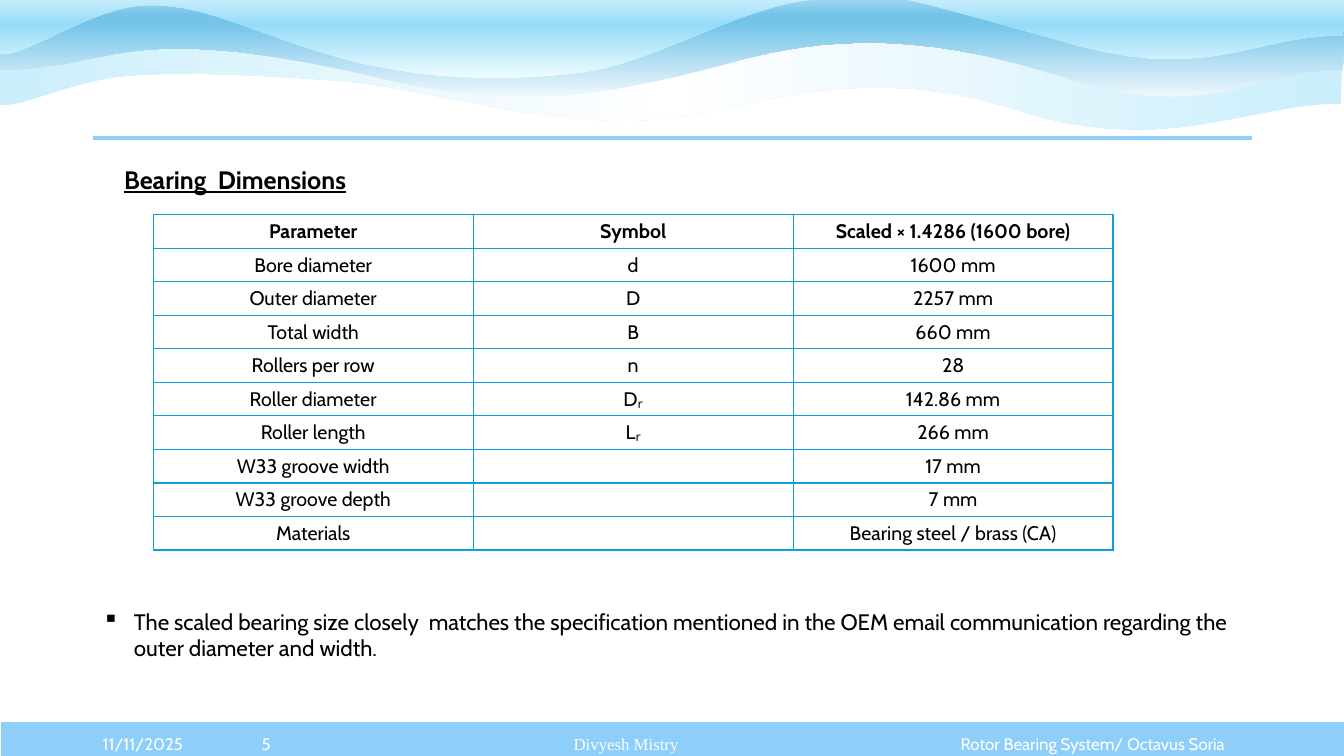
from lxml import etree
from pptx import Presentation
from pptx.dml.color import RGBColor
from pptx.enum import shapes, text
from pptx.oxml import ns
from pptx.util import Inches, Pt

BLACK = RGBColor(0x00, 0x00, 0x00)
WHITE = RGBColor(0xFF, 0xFF, 0xFF)
SKY = RGBColor(0x8E, 0xCE, 0xFA)
BLUE = RGBColor(0x0F, 0x9E, 0xD5)
ICE = RGBColor(0xCA, 0xEE, 0xFB)
MIST = RGBColor(0xF0, 0xF8, 0xFD)
LAKE = RGBColor(0x74, 0xC4, 0xE9)
POOL = RGBColor(0xA2, 0xD8, 0xF0)
FOAM = RGBColor(0xEF, 0xFC, 0xFF)
AQUA = RGBColor(0x96, 0xDC, 0xF8)

LEFT, MID = text.PP_ALIGN.LEFT, text.PP_ALIGN.CENTER
TOP, CENTER = text.MSO_ANCHOR.TOP, text.MSO_ANCHOR.MIDDLE

# Each wave: start, Bezier curves (two handles and an end), corners, stops, angle.
WAVES = [
    ((13.3, 1.03),
     [(12.37, 1.02, 11.52, 1.59, 9.99, 1.06), (8.27, 0.54, 7.21, 1.24, 6.1, 1.2),
      (4.99, 1.16, 4.21, 0.87, 3.35, 0.8), (2.49, 0.74, 1.83, 0.71, 1.27, 0.75),
      (0.71, 0.79, 0.14, 1.11, -0.02, 1.03)],
     [(-0.04, 0.3), (13.32, 0.34)],
     [(0, ICE), (50, WHITE), (100, ICE)], 0),
    ((13.32, 0.69),
     [(12.39, 0.69, 11.96, 1.27, 10.44, 0.73), (8.71, 0.19, 7.73, 0.49, 7.06, 0.67),
      (5.28, 1.14, 4.59, 0.97, 3.46, 0.7), (1.13, 0.21, 1.15, 0.69, 0, 0.69)],
     [(0.01, -0.01), (6.54, -0.02), (13.33, 0.03)],
     [(0, MIST), (74, LAKE), (83, LAKE), (100, POOL)], 270),
    ((13.32, 0.35),
     [(12.39, 0.35, 11.96, 0.86, 10.44, 0.38), (8.72, -0.09, 8.91, -0.07, 8.13, -0.01),
      (7.35, 0.04, 6.53, 0.62, 5.76, 0.72), (4.98, 0.82, 4.24, 0.79, 3.47, 0.6),
      (2.58, 0.36, 2.07, 0.05, 1.5, 0.05), (0.92, 0.04, 0.22, 0.61, -0.03, 0.53)],
     [(0.01, -0.27), (6.54, -0.28), (13.33, -0.24)],
     [(0, FOAM), (50, AQUA), (100, WHITE)], 270),
]

ROWS = [
    ("Parameter", "Symbol", "Scaled × 1.4286 (1600 bore)"),
    ("Bore diameter", "d", "1600 mm"),
    ("Outer diameter", "D", "2257 mm"),
    ("Total width", "B", "660 mm"),
    ("Rollers per row", "n", "28"),
    ("Roller diameter", "Dᵣ", "142.86 mm"),
    ("Roller length", "Lᵣ", "266 mm"),
    ("W33 groove width", "", "17 mm"),
    ("W33 groove depth", "", "7 mm"),
    ("Materials", "", "Bearing steel / brass (CA)"),
]


def add(parent, tag, **attrs):
    return etree.SubElement(parent, ns.qn(tag), {k: str(v) for k, v in attrs.items()})


def curve(start, bend, steps=16):
    """Points along one cubic Bezier curve, after its start."""
    x1, y1, x2, y2, x3, y3 = bend
    for i in range(1, steps + 1):
        t = i / steps
        parts = ((1 - t) ** 3, 3 * t * (1 - t) ** 2, 3 * t * t * (1 - t), t ** 3)
        yield tuple(sum(w * v for w, v in zip(parts, axis))
                    for axis in ((start[0], x1, x2, x3), (start[1], y1, y2, y3)))


class Page:
    """The current slide and its text style."""

    base = dict(name="Cabin", size=Pt(12), bold=False)

    def __init__(self, slide):
        self.slide = slide
        self.shapes = slide.shapes

    def say(self, para, words, color, **look):
        run = para.add_run()
        run.text = words
        run.font.color.rgb = color
        for key, value in {**self.base, **look}.items():
            setattr(run.font, key, value)

    def fit(self, shape, box, anchor):
        for key, value in zip(("left", "top", "width", "height"), box):
            setattr(shape, key, Inches(value))
        frame = shape.text_frame
        for key, value in dict(word_wrap=True, vertical_anchor=anchor,
                               auto_size=text.MSO_AUTO_SIZE.NONE).items():
            setattr(frame, key, value)
        return frame.paragraphs[0]

    def title(self, words, box):
        para = self.fit(self.shapes.title, box, TOP)
        para.alignment = LEFT
        self.say(para, words, BLACK, size=Pt(18), bold=True, underline=True)

    def label(self, words, box, align=LEFT, **look):
        para = self.fit(self.shapes.add_textbox(0, 0, 0, 0), box, CENTER)
        para.alignment = align
        self.say(para, words, WHITE, **look)

    def bullet(self, words, box):
        para = self.fit(self.shapes.add_textbox(0, 0, 0, 0), box, TOP)
        props = para._p.get_or_add_pPr()
        props.set("marL", str(Inches(0.31)))
        props.set("indent", str(-Inches(0.31)))
        add(props, "a:buChar", char="▪")
        self.say(para, words, BLACK, size=Pt(16))

    def wave(self, start, bends, ends, stops, angle):
        points, last = [], start
        for bend in bends:
            points += curve(last, bend)
            last = bend[4:]
        points += ends
        pen = self.shapes.build_freeform(Inches(start[0]), Inches(start[1]))
        pen.add_line_segments([(Inches(x), Inches(y)) for x, y in points], close=True)
        shape = pen.convert_to_shape()
        shape.shadow.inherit = False
        shape.line.fill.background()
        shape.fill.gradient()
        grad = shape._element.spPr.find(ns.qn("a:gradFill"))
        for child in list(grad):
            grad.remove(child)
        group = add(grad, "a:gsLst")
        for pos, color in stops:
            add(add(group, "a:gs", pos=pos * 1000), "a:srgbClr", val=color)
        add(grad, "a:lin", ang=angle * 60000, scaled=0)

    def bar(self, box):
        shape = self.shapes.add_shape(shapes.MSO_SHAPE.RECTANGLE, *map(Inches, box))
        shape.shadow.inherit = False
        shape.fill.solid()
        shape.fill.fore_color.rgb = SKY
        shape.line.color.rgb = WHITE
        shape.line.width = Pt(1.5)

    def rule(self, left, right, y):
        line = self.shapes.add_connector(shapes.MSO_CONNECTOR.STRAIGHT, Inches(left),
                                         Inches(y), Inches(right), Inches(y))
        line.line.color.rgb = SKY
        line.line.width = Pt(3)
        add(line._element.spPr, "a:effectLst")

    def table(self, rows, box):
        grid = self.shapes.add_table(len(rows), len(rows[0]), *map(Inches, box)).table
        grid.first_row = grid.horz_banding = False
        for r, row in enumerate(rows):
            for c, words in enumerate(row):
                self.cell(grid.cell(r, c), words, bold=r == 0)

    def cell(self, cell, words, bold):
        cell.vertical_anchor = CENTER
        cell.margin_top = cell.margin_bottom = Inches(0.04)
        para = cell.text_frame.paragraphs[0]
        para.alignment = MID
        if words:
            self.say(para, words, BLACK, size=Pt(14), bold=bold)
        else:
            add(para._p, "a:endParaRPr", sz=1400)
        props = cell._tc.get_or_add_tcPr()
        for side in "LRTB":
            edge = add(props, "a:ln" + side, w=Pt(1))
            add(add(edge, "a:solidFill"), "a:srgbClr", val=BLUE)
        cell.fill.background()


def main():
    deck = Presentation()
    deck.slide_width, deck.slide_height = Inches(13.33), Inches(7.5)
    page = Page(deck.slides.add_slide(deck.slide_layouts[5]))
    page.bar((0, 7.15, 13.35, 0.4))
    for wave in WAVES:
        page.wave(*wave)
    page.label("Divyesh Mistry", (3.15, 7.18, 6.12, 0.4), MID, name="Times New Roman")
    page.label("Rotor Bearing System/ Octavus Soria", (9.3, 7.24, 3.08, 0.28), MID)
    page.rule(0.92, 12.42, 1.37)
    page.label("11/11/2025", (0.92, 7.18, 1.22, 0.4))
    page.label("5", (2.13, 7.18, 1.02, 0.4), MID)
    page.title("Bearing  Dimensions", (1.13, 1.58, 6.71, 0.4))
    page.table(ROWS, (1.52, 2.13, 9.52, 3.33))
    page.bullet("The scaled bearing size closely  matches the specification mentioned in "
                "the OEM email communication regarding the outer diameter and width.",
                (0.92, 5.98, 11.41, 0.64))
    deck.save("out.pptx")


if __name__ == "__main__":
    main()
